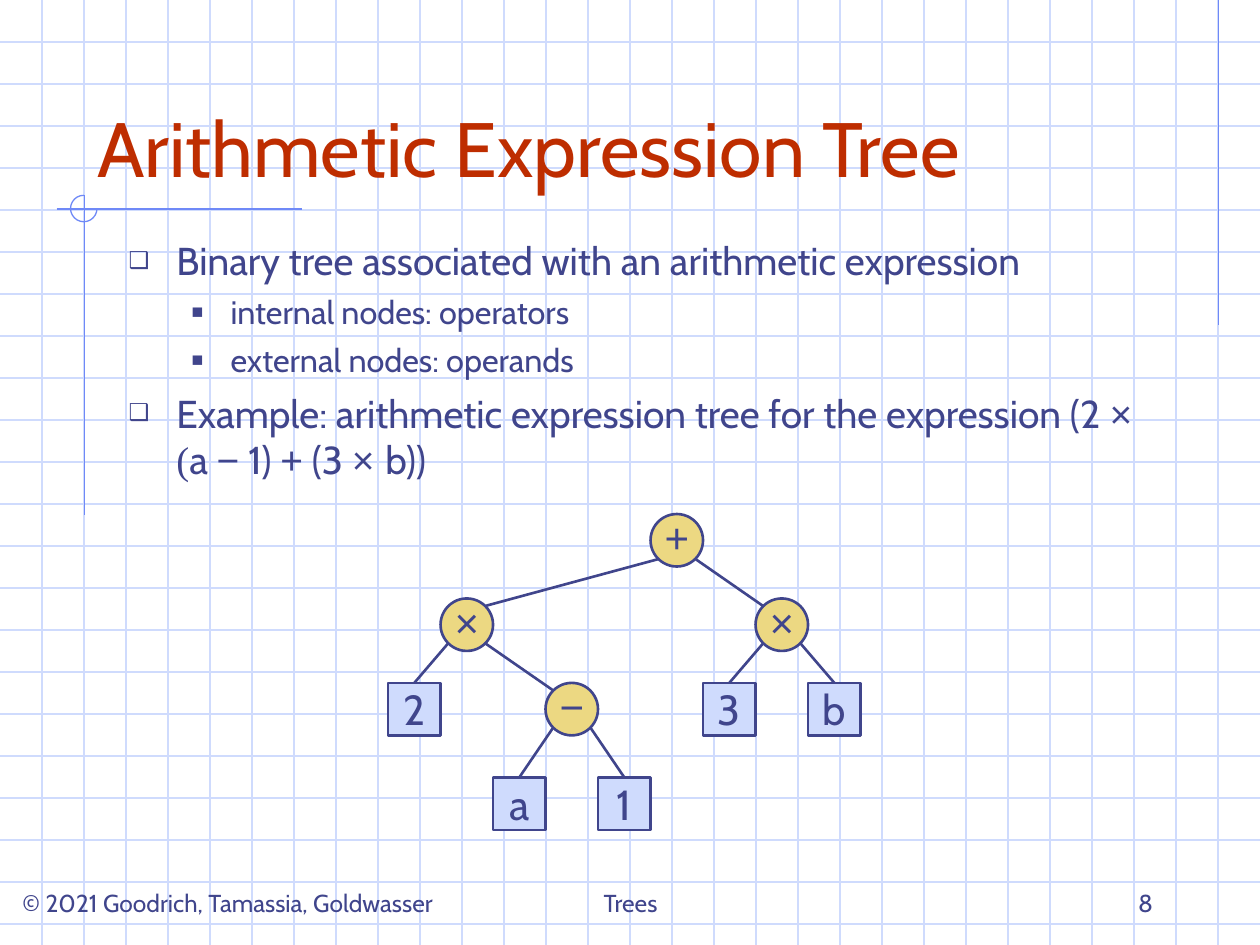
from dataclasses import dataclass
from typing import Any, Optional

from lxml.etree import SubElement
from pptx import Presentation
from pptx.dml.color import RGBColor
from pptx.enum.shapes import MSO_CONNECTOR, MSO_SHAPE
from pptx.enum.text import MSO_ANCHOR, MSO_AUTO_SIZE, PP_ALIGN
from pptx.oxml.ns import qn
from pptx.util import Inches, Pt

INK = RGBColor(0x40, 0x45, 0x8C)
RED = RGBColor(0xBE, 0x2D, 0x00)
GRID_BLUE = RGBColor(0xCF, 0xDB, 0xFD)
RULE_BLUE = RGBColor(0x6F, 0x89, 0xF7)
GOLD = RGBColor(0xEC, 0xD8, 0x82)
TEXT_FONT, SYMBOL_FONT, SERIF_FONT = "Cabin", "Arial", "Times New Roman"

WIDTH, HEIGHT = 10, 7.5
GRID_STEP = 1 / 3
GRID_LINE, TREE_LINE = 0.74, 1.5
NODE_SIZE = 5 / 12
TREE_LEFT = 3.08
LEVEL_TOPS = (4.08, 4.75, 5.42, 6.17)
DIAGONAL = 0.15


@dataclass
class Node:
    symbol: str
    level: int
    parent: Optional[int]
    operator: bool = False


@dataclass
class Bullet:
    level: int
    runs: list[tuple[str, str]]


@dataclass
class BulletStyle:
    mark: str
    size: float
    margin: float
    indent: float
    before: float


@dataclass
class Footer:
    text: str
    left: float
    width: float
    alignment: PP_ALIGN


INFIX_NODES = [
    Node("2", 2, 1),
    Node("×", 1, 5, True),
    Node("a", 3, 3),
    Node("−", 2, 1, True),
    Node("1", 3, 3),
    Node("+", 0, None, True),
    Node("3", 2, 7),
    Node("×", 1, 5, True),
    Node("b", 2, 7),
]
BULLETS = [
    Bullet(0, [("Binary tree associated with an arithmetic expression", TEXT_FONT)]),
    Bullet(1, [("internal nodes: operators", TEXT_FONT)]),
    Bullet(1, [("external nodes: operands", TEXT_FONT)]),
    Bullet(0, [
        ("Example: arithmetic expression tree for the expression (2 ", TEXT_FONT),
        ("× ", SYMBOL_FONT), ("(", SERIF_FONT), ("a ", TEXT_FONT),
        ("−", SYMBOL_FONT), (" 1) ", TEXT_FONT), ("+", SYMBOL_FONT),
        (" (3 ", TEXT_FONT), ("× ", SYMBOL_FONT), ("b))", TEXT_FONT),
    ]),
]
BULLET_STYLES = [
    BulletStyle("❑", 22.2, 0.38, -0.38, 6),
    BulletStyle("■", 18.5, 0.81, -0.31, 5),
]
FOOTERS = [
    Footer("© 2021 Goodrich, Tamassia, Goldwasser", 0.08, 3.92, PP_ALIGN.LEFT),
    Footer("Trees", 3.42, 3.17, PP_ALIGN.CENTER),
    Footer("8", 7.17, 2.08, PP_ALIGN.RIGHT),
]
RULES = [(9.67, 0, 9.67, 2.58), (0.45, 1.66, 2.4, 1.66), (0.67, 1.55, 0.67, 4.09)]


def apply_format(target: Any, values: dict[str, Any]) -> None:
    for name, value in values.items():
        setattr(target, name, value)


def place(shape: Any, left: float, top: float, width: float, height: float) -> None:
    apply_format(shape, {"left": Inches(left), "top": Inches(top),
                         "width": Inches(width), "height": Inches(height)})


def add_run(paragraph: Any, text: str, size: float, font: str = TEXT_FONT,
            color: RGBColor = INK) -> None:
    run = paragraph.add_run()
    run.text = text
    apply_format(run.font, {"name": font, "size": Pt(size)})
    run.font.color.rgb = color


def add_line(shapes: Any, ends: tuple[float, ...], color: RGBColor, width: float) -> None:
    line = shapes.add_connector(MSO_CONNECTOR.STRAIGHT, *map(Inches, ends))
    line.line.color.rgb = color
    line.line.width = Pt(width)
    SubElement(line.element.spPr, qn("a:effectLst"))


def draw_background(shapes: Any) -> None:
    for row in range(1, 23):
        add_line(shapes, (0, row * GRID_STEP, WIDTH, row * GRID_STEP), GRID_BLUE, GRID_LINE)
    for column in range(1, 30):
        add_line(shapes, (column * GRID_STEP, 0, column * GRID_STEP, HEIGHT),
                 GRID_BLUE, GRID_LINE)
    for ends in RULES:
        add_line(shapes, ends, RULE_BLUE, GRID_LINE)
    arc = shapes.add_shape(MSO_SHAPE.ARC, *map(Inches, (0.56, 1.55, 0.21, 0.21)))
    arc.adjustments[0], arc.adjustments[1] = 0, 162
    arc.shadow.inherit = False
    arc.fill.background()
    arc.line.color.rgb = RULE_BLUE
    arc.line.width = Pt(GRID_LINE)


def fill_title(title: Any) -> None:
    place(title, 0.67, 0.33, 8.5, 1.25)
    apply_format(title.text_frame, {"vertical_anchor": MSO_ANCHOR.BOTTOM,
                                    "auto_size": MSO_AUTO_SIZE.NONE})
    paragraph = title.text_frame.paragraphs[0]
    paragraph.alignment = PP_ALIGN.LEFT
    add_run(paragraph, "Arithmetic Expression Tree", 44, color=RED)


def fill_body(body: Any) -> None:
    place(body, 0.92, 1.83, 8.5, 2.17)
    frame = body.text_frame
    frame.auto_size = MSO_AUTO_SIZE.NONE
    for index, bullet in enumerate(BULLETS):
        paragraph = frame.add_paragraph() if index else frame.paragraphs[0]
        style = BULLET_STYLES[bullet.level]
        apply_format(paragraph, {"level": bullet.level, "space_before": Pt(style.before)})
        for text, font in bullet.runs:
            add_run(paragraph, text, style.size, font)
        properties = paragraph._p.get_or_add_pPr()
        properties.set("marL", str(Inches(style.margin)))
        properties.set("indent", str(Inches(style.indent)))
        color = SubElement(properties, qn("a:buClr"))
        SubElement(color, qn("a:srgbClr"), val=str(INK))
        SubElement(properties, qn("a:buSzPct"), val="60000")
        SubElement(properties, qn("a:buChar"), char=style.mark)


def node_center(index: int) -> tuple[float, float]:
    return (TREE_LEFT + (index + 0.5) * NODE_SIZE,
            LEVEL_TOPS[INFIX_NODES[index].level] + NODE_SIZE / 2)


def add_node(shapes: Any, index: int, node: Node) -> None:
    kind = MSO_SHAPE.OVAL if node.operator else MSO_SHAPE.RECTANGLE
    x, y = node_center(index)
    shape = shapes.add_shape(kind, Inches(x - NODE_SIZE / 2), Inches(y - NODE_SIZE / 2),
                             Inches(NODE_SIZE), Inches(NODE_SIZE))
    shape.shadow.inherit = False
    shape.fill.solid()
    shape.fill.fore_color.rgb = GOLD if node.operator else GRID_BLUE
    shape.line.color.rgb = INK
    shape.line.width = Pt(TREE_LINE)
    frame = shape.text_frame
    apply_format(frame, {"word_wrap": False, "vertical_anchor": MSO_ANCHOR.MIDDLE})
    if node.operator:
        apply_format(frame, {"margin_left": 0, "margin_right": 0, "margin_top": 0})
    paragraph = frame.paragraphs[0]
    paragraph.alignment = PP_ALIGN.CENTER
    add_run(paragraph, node.symbol, 24, SYMBOL_FONT if node.operator else TEXT_FONT)


def add_edge(shapes: Any, index: int, node: Node) -> None:
    parent_x, parent_y = node_center(node.parent)
    x, y = node_center(index)
    shift = DIAGONAL if index > node.parent else -DIAGONAL
    end = (x - shift, y - DIAGONAL) if node.operator else (x, y - NODE_SIZE / 2)
    add_line(shapes, (parent_x + shift, parent_y + DIAGONAL, *end), INK, TREE_LINE)


def add_footer(shapes: Any, footer: Footer) -> None:
    box = shapes.add_textbox(Inches(footer.left), Inches(6.83),
                             Inches(footer.width), Inches(0.5))
    apply_format(box.text_frame, {"word_wrap": True, "vertical_anchor": MSO_ANCHOR.BOTTOM})
    paragraph = box.text_frame.paragraphs[0]
    paragraph.alignment = footer.alignment
    add_run(paragraph, footer.text, 14)


presentation = Presentation()
presentation.slide_width, presentation.slide_height = Inches(WIDTH), Inches(HEIGHT)
slide = presentation.slides.add_slide(presentation.slide_layouts[1])
title, body = slide.placeholders
draw_background(slide.shapes)
for placeholder, fill in ((title, fill_title), (body, fill_body)):
    fill(placeholder)
    slide.shapes.element.append(placeholder.element)
for index, node in enumerate(INFIX_NODES):
    add_node(slide.shapes, index, node)
for index, node in enumerate(INFIX_NODES):
    if node.parent is not None:
        add_edge(slide.shapes, index, node)
for footer in FOOTERS:
    add_footer(slide.shapes, footer)
presentation.save("out.pptx")
